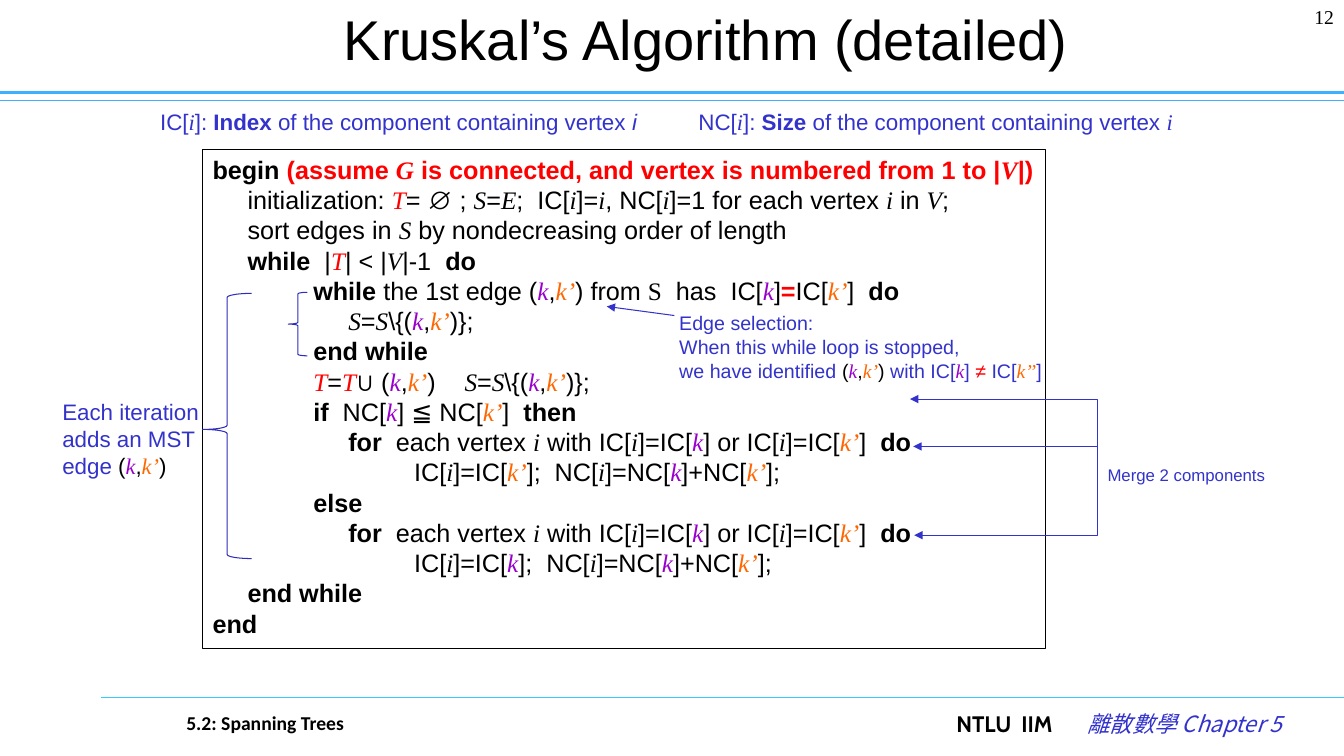
from pptx import Presentation
from pptx.dml.color import RGBColor
from pptx.enum.shapes import MSO_CONNECTOR, MSO_SHAPE
from pptx.enum.text import MSO_ANCHOR, PP_ALIGN
from pptx.oxml.ns import qn
from pptx.util import Pt
from lxml import etree

STRAIGHT = MSO_CONNECTOR.STRAIGHT
RECTANGLE, LEFT_BRACE = MSO_SHAPE.RECTANGLE, MSO_SHAPE.LEFT_BRACE
TOP, MIDDLE = MSO_ANCHOR.TOP, MSO_ANCHOR.MIDDLE
LEFT, CENTER, RIGHT = PP_ALIGN.LEFT, PP_ALIGN.CENTER, PP_ALIGN.RIGHT

COLORS = {
    "black": "000000", "red": "FF0000", "note": "3333CC", "brace": "2D2DB9",
    "from": "9900CC", "to": "FF6600", "rule": "3DB0FF", "footer": "33CCFF",
}
SANS, SERIF = "Arial", "Times New Roman"
CJK = "Noto Sans CJK SC"

# Marked pieces of text sit between tildes; the first letter picks the style.
STYLES = {
    "v": {"name": SERIF, "italic": True},
    "i": {"italic": True},
    "n": {"name": SERIF},
    "b": {"bold": True},
    "c": {"color": "black"},
    "e": {"color": "red"},
    "r": {"color": "red", "bold": True},
    "g": {"name": SERIF, "color": "red", "bold": True, "italic": True},
    "t": {"name": SERIF, "color": "red", "italic": True},
    "k": {"name": SERIF, "color": "from", "italic": True},
    "q": {"name": SERIF, "color": "to", "italic": True},
}
EDGE = "(~kk~,~qk’~)"
NOTE_EDGE = "~c(~~kk~~c,~~qk’~~c)~"
REMOVE_EDGE = "~vS~=~vS~\\{" + EDGE + "};"
FOR_EACH = "~bfor~  each vertex ~vi~ with IC[~vi~]=IC[~kk~] or IC[~vi~]=IC[~qk’~]  ~bdo~"
MERGE = "IC[~vi~]=IC[{}];  NC[~vi~]=NC[~kk~]+NC[~qk’~];"
CODE = [
    (0, "~bbegin ~~r(assume ~~gG~~r is connected, and vertex is numbered from 1 to |~~gV~~r|)~"),
    (25, "initialization: ~tT~= ∅ ; ~vS~=~vE~;  IC[~vi~]=~vi~, NC[~vi~]=1 for each vertex ~vi~ in ~vV~;"),
    (25, "sort edges in ~vS~ by nondecreasing order of length"),
    (25, "~bwhile~  |~tT~| < |~vV~|-1  ~bdo~"),
    (72, "~bwhile~ the 1st edge " + EDGE + " from ~nS~  has  IC[~kk~]~r=~IC[~qk’~]  ~bdo~"),
    (97, REMOVE_EDGE),
    (72, "~bend while~"),
    (72, "~tT~=~tT~∪ " + EDGE + " \t" + REMOVE_EDGE),
    (72, "~bif~  NC[~kk~] ≦ NC[~qk’~]  ~bthen~"),
    (97, FOR_EACH),
    (144, MERGE.format("~qk’~")),
    (72, "~belse~"),
    (97, FOR_EACH),
    (144, MERGE.format("~kk~")),
    (25, "~bend while~"),
    (0, "~bend~"),
]
EDGE_SELECTION = [
    (0, "Edge selection:"),
    (0, "When this while loop is stopped,"),
    (0, "we have identified " + NOTE_EDGE + " with IC[~kk~] ~e≠ ~IC[~qk’’~]"),
]
ITERATION = [(0, "Each iteration"), (0, "adds an MST"), (0, "edge " + NOTE_EDGE)]


def rgb(color):
    return RGBColor.from_string(COLORS[color])


def set_font(font, color=None, **settings):
    for setting, value in settings.items():
        setattr(font, setting, value)
    if color:
        font.color.rgb = rgb(color)


def write(frame, lines, size, color, align=LEFT, name=SANS, **settings):
    frame.word_wrap = True
    frame.vertical_anchor = TOP
    for number, (indent, text) in enumerate(lines):
        paragraph = frame.add_paragraph() if number else frame.paragraphs[0]
        paragraph.alignment = align
        paragraph.line_spacing = Pt(size * 1.2)
        set_font(paragraph.font, color, size=Pt(size), name=name, **settings)
        if indent:
            properties = paragraph._p.get_or_add_pPr()
            properties.set("marL", str(Pt(indent)))
            properties.set("indent", "0")
        for position, piece in enumerate(text.split("~")):
            if piece:
                run = paragraph.add_run()
                run.text = piece[1:] if position % 2 else piece
                if position % 2:
                    set_font(run.font, **STYLES[piece[0]])


def add_label(slide, box, lines, size, color="note", **settings):
    label = slide.shapes.add_textbox(*map(Pt, box))
    write(label.text_frame, lines, size, color, **settings)
    return label


def style_line(shape, color, width=0.75, arrow=None):
    shape.line.color.rgb = rgb(color)
    shape.line.width = Pt(width)
    if arrow:
        end = etree.SubElement(shape.line._get_or_add_ln(), qn("a:" + arrow))
        end.set("type", "triangle")


def add_line(slide, start, end, color, width=0.75, arrow=None):
    line = slide.shapes.add_connector(STRAIGHT, *map(Pt, start + end))
    style_line(line, color, width, arrow)
    etree.SubElement(line._element.spPr, qn("a:effectLst"))


def add_outline(slide, preset, box, color):
    outline = slide.shapes.add_shape(preset, *map(Pt, box))
    outline.shadow.inherit = False
    outline.fill.background()
    style_line(outline, color)
    return outline


def add_header(slide, left, top, width, height):
    title = slide.shapes.title
    title.left, title.top, title.width, title.height = map(Pt, (left + 128, top, 752, 54))
    title.text_frame.text = "Kruskal’s Algorithm (detailed)"
    title.text_frame.vertical_anchor = MIDDLE
    heading = title.text_frame.paragraphs[0]
    heading.alignment = CENTER
    set_font(heading.font, "black", size=Pt(40), name=SANS)
    add_label(slide, (left + width - 80, top, 80, 36), [(0, "12")], 14, "black",
              align=RIGHT, name=SERIF)
    for offset, weight in ((66.2, 2.5), (height, 0.75)):
        add_line(slide, (left, top + offset), (left + width, top + offset), "rule", weight)


def add_definitions(slide, left, top, width, height):
    for offset, array, measure, vertex in ((0, "IC", "Index", "~ii~"), (384.5, "NC", "Size", "~vi~")):
        text = f"{array}[~vi~]: ~b{measure}~ of the component containing vertex {vertex}"
        add_label(slide, (left + offset, top, width - 384.5, height), [(0, text)], 16)


def add_code(slide, left, top, width, height):
    listing = add_outline(slide, RECTANGLE, (left, top, width, height), "black")
    write(listing.text_frame, CODE, 18, "black")
    outer = add_outline(slide, LEFT_BRACE, (left, top + 103, 35, 189.4), "brace")
    outer.adjustments[0], outer.adjustments[1] = 0.083, 0.513
    add_outline(slide, LEFT_BRACE, (left + 61.2, top + 102.2, 13.7, 45.4), "brace")
    add_label(slide, (left + 333.4, top + 112.3, 284, 58), EDGE_SELECTION, 14)
    add_line(slide, (left + 288.7, top + 112.3), (left + 337, top + 118.8), "note", arrow="headEnd")
    add_label(slide, (left - 107.3, top + 174.2, 118, 68), ITERATION, 16)


def add_merge(slide, left, top, width, height):
    for start, end, reach in ((80, 0, 134), (54.6, 33.8, 131.7), (75.6, 97.2, 131)):
        builder = slide.shapes.build_freeform(Pt(left), Pt(top + start))
        builder.add_line_segments(
            [(Pt(left), Pt(top + end)), (Pt(left - reach), Pt(top + end))], close=False)
        arrow = builder.convert_to_shape()
        arrow.shadow.inherit = False
        arrow.fill.background()
        style_line(arrow, "note", arrow="tailEnd")
    add_label(slide, (left, top + 43.2, width, height), [(0, "Merge 2 components")], 12)


def add_footer(slide, left, top, width, height):
    add_line(slide, (left, top), (left + width, top), "footer")
    add_label(slide, (left + 54, top + 6.5, 150, 25), [(0, "5.2: Spanning Trees")], 14, "black",
              name="Calibri", bold=True)
    add_label(slide, (left + 604, top + 6, 100, height), [(0, "NTLU  IIM")], 16, "black",
              name="Cabin", bold=True)
    chapter = add_label(slide, (left + 681, top + 6, 170, height), [(0, "離散數學 Chapter 5")], 16,
                        align=RIGHT, name=CJK, italic=True)
    run = chapter.text_frame.paragraphs[0].runs[0]
    etree.SubElement(run._r.get_or_add_rPr(), qn("a:ea")).set("typeface", CJK)


def main():
    deck = Presentation()
    deck.slide_width, deck.slide_height = Pt(960), Pt(540)
    slide = deck.slides.add_slide(deck.slide_layouts[5])
    add_header(slide, 0, 0, 960, 72)
    add_definitions(slide, 107.3, 73.6, 752, 27)
    add_code(slide, 144.7, 106.6, 602, 356.4)
    add_merge(slide, 784, 285.1, 170, 22)
    add_footer(slide, 72, 498, 888, 36)
    deck.save("out.pptx")


if __name__ == "__main__":
    main()
